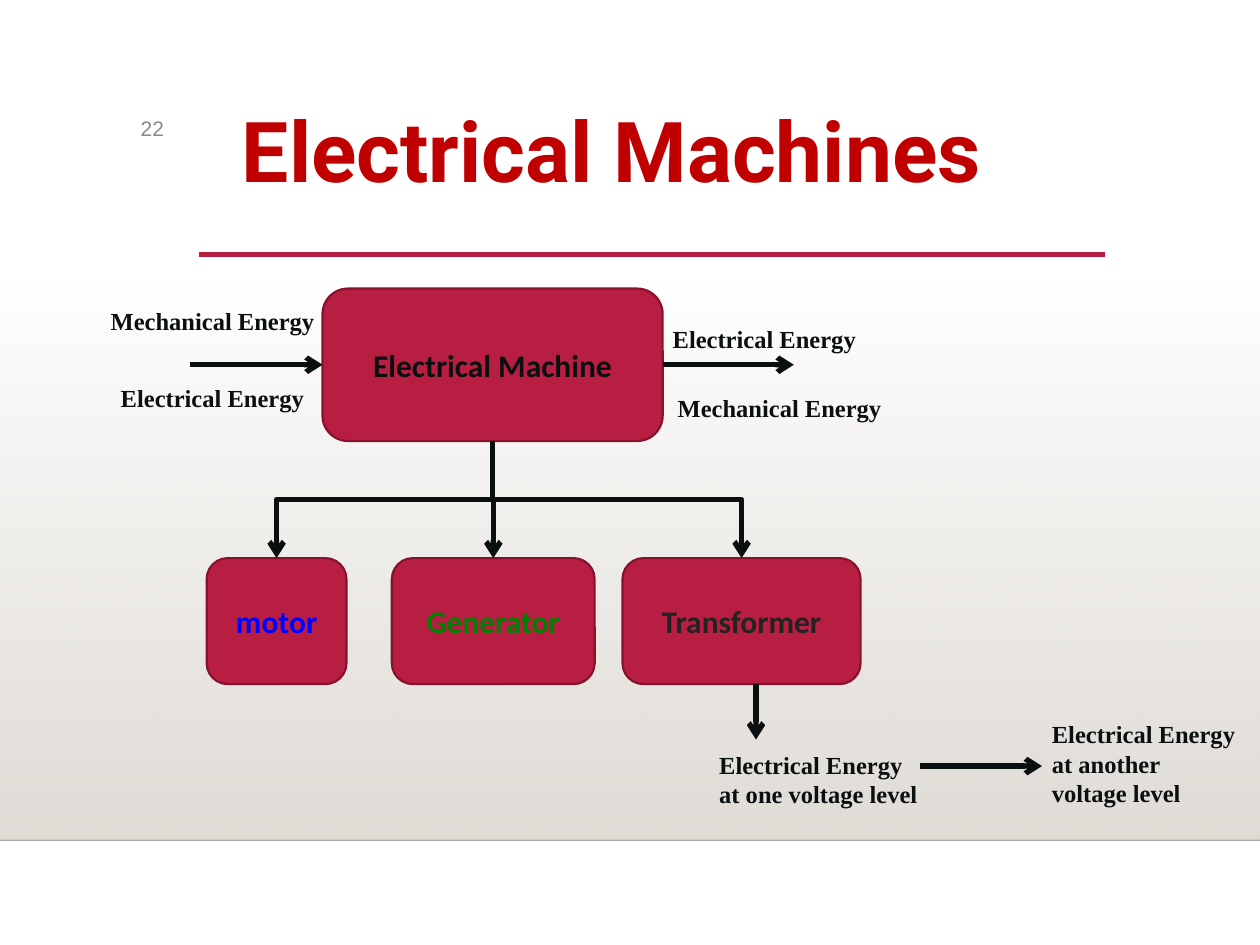
from pptx import Presentation
from pptx.dml.color import RGBColor
from pptx.enum.shapes import MSO_CONNECTOR as Link, MSO_SHAPE as Preset
from pptx.enum.text import MSO_ANCHOR as Anchor, MSO_AUTO_SIZE as AutoSize, PP_ALIGN as Align
from pptx.oxml.ns import qn
from pptx.oxml.xmlchemy import OxmlElement
from pptx.util import Inches, Pt

CRIMSON = RGBColor(0xB7, 0x1E, 0x42)
DARK_CRIMSON = RGBColor(0x86, 0x13, 0x2E)
TITLE_RED = RGBColor(0xC0, 0x00, 0x00)
INK = RGBColor(0x0A, 0x0F, 0x10)
CHARCOAL = RGBColor(0x23, 0x23, 0x23)
BLUE = RGBColor(0x00, 0x00, 0xFF)
GREEN = RGBColor(0x00, 0x80, 0x00)
GRAY = RGBColor(0x89, 0x89, 0x89)
SAND = RGBColor(0xDF, 0xDB, 0xD5)
EDGE = RGBColor(0x00, 0x00, 0x01)

TOP, LEFT, BOTTOM, RIGHT = range(4)


def set_alpha(color_element, percent):
    alpha = OxmlElement("a:alpha")
    alpha.set("val", str(percent * 1000))
    color_element.append(alpha)


def write(shape, text, size, font_name, color, bold=True, align=Align.LEFT):
    shape.text_frame.text = text
    for paragraph in shape.text_frame.paragraphs:
        paragraph.alignment = align
        for run in paragraph.runs:
            font = run.font
            font.size, font.name, font.bold = Pt(size), font_name, bold
            font.color.rgb = color


def add_label(slide, text, left, top, width, height, align=Align.LEFT):
    label = slide.shapes.add_textbox(left, top, width, height)
    label.text_frame.word_wrap = False
    label.text_frame.auto_size = AutoSize.SHAPE_TO_FIT_TEXT
    write(label, text, 14, "Times New Roman", INK, align=align)


def add_line(slide, start, end, color=INK, width=3, kind=Link.STRAIGHT):
    line = slide.shapes.add_connector(kind, *start, *end)
    line.line.color.rgb = color
    line.line.width = Pt(width)
    line._element.spPr.append(OxmlElement("a:effectLst"))
    return line


def add_arrow(slide, start, end, kind=Link.STRAIGHT):
    arrow = add_line(slide, start, end, kind=kind)
    head = OxmlElement("a:tailEnd")
    head.set("type", "arrow")
    arrow.line._get_or_add_ln().append(head)
    return arrow


def add_box(slide, text, left, top, width, height, color):
    box = slide.shapes.add_shape(Preset.ROUNDED_RECTANGLE, left, top, width, height)
    box.shadow.inherit = False
    box.fill.solid()
    box.fill.fore_color.rgb = CRIMSON
    box.line.color.rgb = DARK_CRIMSON
    box.line.width = Pt(1.25)
    box.text_frame.vertical_anchor = Anchor.MIDDLE
    write(box, text, 18, "Calibri", color, align=Align.CENTER)
    return box


def add_branch(slide, parent, child):
    """Elbow arrow that leaves the parent downwards and enters the child from above."""
    start = parent.left + parent.width // 2, parent.top + parent.height
    end = child.left + child.width // 2, child.top
    arrow = add_arrow(slide, start, end, Link.ELBOW)
    arrow.begin_connect(parent, BOTTOM)
    arrow.end_connect(child, TOP)
    # The elbow preset runs sideways, so it is turned about its centre
    length, span = end[1] - start[1], abs(end[0] - start[0])
    arrow.left = (start[0] + end[0] - length) // 2
    arrow.top = (start[1] + end[1] - span) // 2
    arrow.width, arrow.height = length, span
    to_right = end[0] > start[0]
    frame = arrow._element.spPr.find(qn("a:xfrm"))
    frame.set("rot", str((270 if to_right else 90) * 60000))
    frame.set("flipH", "1" if to_right else "0")
    frame.set("flipV", "0")


def add_backdrop(slide, left, top, width, height):
    panel = slide.shapes.add_shape(Preset.RECTANGLE, left, top, width, height)
    panel.shadow.inherit = False
    panel.line.fill.background()
    panel.fill.gradient()
    panel.fill.gradient_angle = 270
    for stop in panel.fill.gradient_stops:
        stop.color.rgb = SAND
    set_alpha(next(panel._element.spPr.iter(qn("a:srgbClr"))), 0)
    bottom = top + height
    edge = add_line(slide, (left, bottom), (left + width, bottom), EDGE, 1)
    set_alpha(next(edge._element.spPr.iter(qn("a:srgbClr"))), 20)


def add_header(slide, left, top, width, height):
    rule_y = top + Inches(1.29)
    add_line(slide, (left + Inches(0.56), rule_y), (left + Inches(7.75), rule_y), CRIMSON, 2.5)
    # Slide number
    number = slide.shapes.add_textbox(left - Inches(0.49), top + Inches(0.14),
                                      Inches(0.87), Inches(0.55))
    number.text_frame.word_wrap = True
    write(number, "22", 12, "Arial", GRAY, bold=False, align=Align.RIGHT)
    # Title
    title = slide.shapes.add_textbox(left, top, width, height)
    title.text_frame.word_wrap = True
    write(title, "Electrical Machines", 48, "Roboto", TITLE_RED, align=Align.CENTER)


def add_machine(slide, left, top, width, height):
    machine = add_box(slide, "Electrical Machine", left, top, width, height, INK)
    middle, right = top + height // 2, left + width
    # Energy in and energy out
    inflow = add_arrow(slide, (left - Inches(1.05), middle), (left, middle))
    inflow.end_connect(machine, LEFT)
    outflow = add_arrow(slide, (right, middle), (right + Inches(1.04), middle))
    outflow.begin_connect(machine, RIGHT)
    for text, x, y, label_width in (
        ("Mechanical Energy", left - Inches(1.78), 0.09, 1.84),
        ("Electrical Energy", left - Inches(1.7), 0.7, 1.68),
        ("Electrical Energy", right - Inches(0.02), 0.23, 1.68),
        ("Mechanical Energy", right + Inches(0.02), 0.78, 1.84),
    ):
        add_label(slide, text, x, top + Inches(y), Inches(label_width), Inches(0.34))
    return machine


def add_machine_types(slide, machine, left, top, height):
    motor, generator, transformer = [
        add_box(slide, text, left + Inches(x), top, Inches(width), height, color)
        for text, x, width, color in (
            ("motor", 0, 1.11, BLUE),
            ("Generator", 1.47, 1.61, GREEN),
            ("Transformer", 3.3, 1.89, CHARCOAL),
        )
    ]
    add_branch(slide, machine, transformer)
    add_branch(slide, machine, motor)
    center = generator.left + generator.width // 2
    stem = add_arrow(slide, (center, top - Inches(0.47)), (center, top))
    stem.end_connect(generator, TOP)


def add_voltage_change(slide, left, top):
    arrow_x, arrow_y = left + Inches(0.39), top + Inches(0.65)
    add_arrow(slide, (arrow_x, top), (arrow_x, top + Inches(0.44)))
    add_label(slide, "Electrical Energy\nat one voltage level", left, top + Inches(0.47),
              Inches(1.8), Inches(0.57))
    add_arrow(slide, (left + Inches(1.69), arrow_y), (left + Inches(2.66), arrow_y))
    add_label(slide, "Electrical Energy\nat another\nvoltage level", left + Inches(2.64),
              top + Inches(0.23), Inches(1.68), Inches(0.8), Align.JUSTIFY)


def main():
    presentation = Presentation()
    presentation.slide_width, presentation.slide_height = Inches(10), Inches(7.5)
    slide = presentation.slides.add_slide(presentation.slide_layouts[6])
    add_backdrop(slide, 0, Inches(2.2), Inches(10), Inches(4.47))
    add_header(slide, Inches(1.02), Inches(0.73), Inches(7.67), Inches(0.9))
    machine = add_machine(slide, Inches(2.56), Inches(2.29), Inches(2.7), Inches(1.21))
    add_machine_types(slide, machine, Inches(1.64), Inches(4.43), Inches(1))
    add_voltage_change(slide, Inches(5.61), Inches(5.43))
    presentation.save("out.pptx")


if __name__ == "__main__":
    main()
